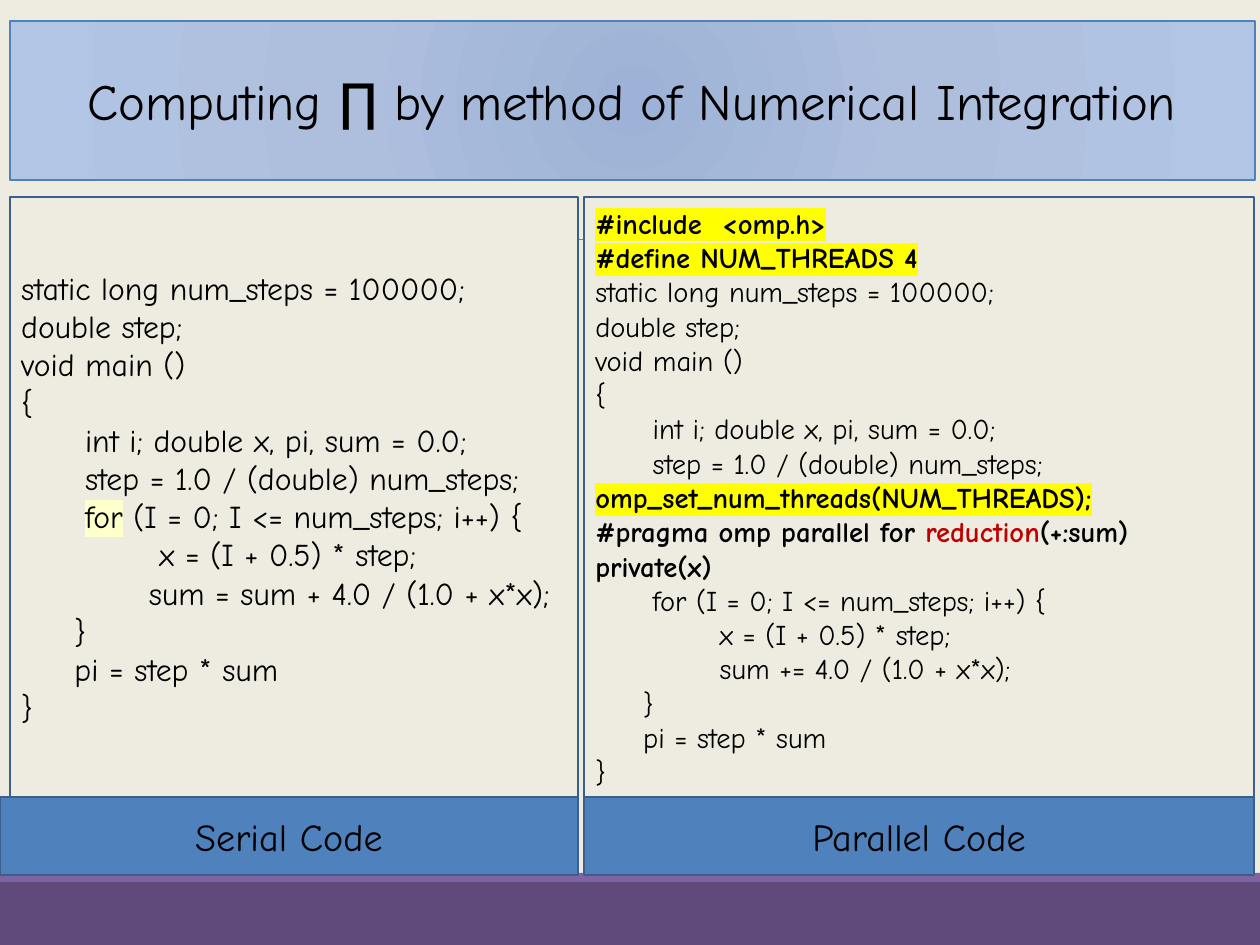
from dataclasses import dataclass

from lxml.etree import SubElement
from pptx import Presentation
from pptx.dml.color import RGBColor
from pptx.enum.shapes import MSO_CONNECTOR as Connector, MSO_SHAPE as Shape
from pptx.enum.text import MSO_ANCHOR as Anchor, MSO_AUTO_SIZE as AutoSize, PP_ALIGN as Align
from pptx.oxml.ns import qn
from pptx.util import Pt

TITLE = "Computing ∏ by method of Numerical Integration"

DECLARATIONS = [
    (0, [("static long num_steps = 100000;", "plain")]),
    (0, [("double step;", "plain")]),
    (0, [("void main ()", "plain")]),
    (0, [("{", "plain")]),
    (6, [("int i; double x, pi, sum = 0.0;", "plain")]),
    (6, [("step = 1.0 / (double) num_steps;", "plain")]),
]
MIDPOINT = (13, [("x = (I + 0.5) * step;", "plain")])
CLOSING = [
    (5, [("}", "plain")]),
    (5, [("pi = step * sum", "plain")]),
    (0, [("}", "plain")]),
]
SERIAL_CODE = [
    *DECLARATIONS,
    (6, [("for", "keyword"), (" (I = 0; I <= num_steps; i++) {", "plain")]),
    MIDPOINT,
    (12, [("sum = sum + 4.0 / (1.0 + x*x);", "plain")]),
    *CLOSING,
]
PARALLEL_CODE = [
    (0, [("#include  <omp.h>", "marked")]),
    (0, [("#define NUM_THREADS 4", "marked")]),
    *DECLARATIONS,
    (0, [("omp_set_num_threads(NUM_THREADS);", "marked")]),
    (0, [("#pragma omp parallel for ", "bold"), ("reduction", "clause"),
         ("(+:sum) private(x)", "bold")]),
    (6, [("for (I = 0; I <= num_steps; i++) {", "plain")]),
    MIDPOINT,
    (13, [("sum += 4.0 / (1.0 + x*x);", "plain")]),
    *CLOSING,
]


@dataclass(frozen=True)
class Theme:
    font: str = "Comic Neue"
    paper: str = "EEECE1"
    ink: str = "000000"
    red: str = "C00000"
    yellow: str = "FFFF00"
    cream: str = "FFFFCC"
    blue: str = "4F81BD"
    navy: str = "3A5F8C"
    grey: str = "808080"
    purple: str = "604A7B"
    violet: str = "8064A2"
    title_gradient: tuple = ((0, "9DB2D6"), (45, "AEBFDE"), (100, "B3C5E5"))
    title_size: int = 32
    caption_size: int = 24
    serial_size: int = 20
    parallel_size: int = 18
    space_em: float = 0.335


THEME = Theme()
RUN_STYLES = {
    "plain": {"bold": False, "color": THEME.ink, "highlight": None},
    "keyword": {"bold": False, "color": THEME.ink, "highlight": THEME.cream},
    "bold": {"bold": True, "color": THEME.ink, "highlight": None},
    "clause": {"bold": True, "color": THEME.red, "highlight": None},
    "marked": {"bold": True, "color": THEME.ink, "highlight": THEME.yellow},
}

PX = 8000
WIDTH, HEIGHT = 1260, 945
TITLE_BOX = {"left": 10, "top": 21, "width": 1245, "height": 159}
PANEL_TOP, CAPTION_TOP, CAPTION_HEIGHT = 197, 797, 78
BAND_TOP, FOOTER_TOP = 873, 882
RULE_LEFT, RULE_RIGHT, RULE_TOP = 123, 1153, 239

PANELS = [
    {"left": 10, "caption_left": 0, "right": 578,
     "code": SERIAL_CODE, "size": THEME.serial_size, "caption": "Serial Code"},
    {"left": 584, "caption_left": 584, "right": 1254,
     "code": PARALLEL_CODE, "size": THEME.parallel_size, "caption": "Parallel Code"},
]


def emu(*lengths):
    return [length * PX for length in lengths]


def set_attributes(target, values):
    for name, value in values.items():
        setattr(target, name, value)


def fill_solid(fill, color):
    fill.solid()
    fill.fore_color.rgb = RGBColor.from_string(color)


def draw_line(line, color, width):
    line.color.rgb = RGBColor.from_string(color)
    line.width = Pt(width)


def fill_radial(shape, stops):
    shape.fill.solid()
    properties = shape._element.spPr
    gradient = SubElement(properties, qn("a:gradFill"), rotWithShape="1")
    stop_list = SubElement(gradient, qn("a:gsLst"))
    for percent, color in stops:
        stop = SubElement(stop_list, qn("a:gs"), pos=str(percent * 1000))
        SubElement(stop, qn("a:srgbClr"), val=color)
    circle = SubElement(gradient, qn("a:path"), path="circle")
    SubElement(circle, qn("a:fillToRect"), {side: "100000" for side in "ltrb"})
    properties.replace(properties.find(qn("a:solidFill")), gradient)


def add_box(slide, left, top, right, bottom, fill, outline=None):
    box = emu(left, top, right - left, bottom - top)
    shape = slide.shapes.add_shape(Shape.RECTANGLE, *box)
    shape.shadow.inherit = False
    fill_solid(shape.fill, fill)
    if outline:
        draw_line(shape.line, outline, 1.25)
    else:
        shape.line.fill.background()
    return shape


def add_run(paragraph, text, size, style):
    run = paragraph.add_run()
    run.text = text
    fill_solid(run.font.fill, style["color"])
    if style["highlight"]:
        highlight = SubElement(run._r.get_or_add_rPr(), qn("a:highlight"))
        SubElement(highlight, qn("a:srgbClr"), val=style["highlight"])
    set_attributes(run.font, {"name": THEME.font, "size": Pt(size), "bold": style["bold"]})


def write_lines(shape, lines, size, alignment):
    frame = shape.text_frame
    set_attributes(frame, {
        "word_wrap": True,
        "auto_size": AutoSize.NONE,
        "vertical_anchor": Anchor.MIDDLE,
    })
    for index, (spaces, runs) in enumerate(lines):
        paragraph = frame.add_paragraph() if index else frame.paragraphs[0]
        paragraph.alignment = alignment
        indent = Pt(spaces * size * THEME.space_em)
        properties = paragraph._p.get_or_add_pPr()
        properties.set("marL", str(indent))
        properties.set("indent", "0")
        for text, style_name in runs:
            add_run(paragraph, text, size, RUN_STYLES[style_name])


def write_heading(shape, text, size):
    write_lines(shape, [(0, [(text, "plain")])], size, Align.CENTER)


def add_backdrop(slide):
    fill_solid(slide.background.fill, THEME.paper)
    add_box(slide, 0, FOOTER_TOP, WIDTH, HEIGHT, THEME.purple)
    add_box(slide, 0, BAND_TOP, WIDTH, FOOTER_TOP, THEME.violet)
    ends = emu(RULE_LEFT, RULE_TOP, RULE_RIGHT, RULE_TOP)
    rule = slide.shapes.add_connector(Connector.STRAIGHT, *ends)
    draw_line(rule.line, THEME.grey, 0.5)
    SubElement(rule._element.spPr, qn("a:effectLst"))


def format_title(slide):
    title = slide.shapes.title
    set_attributes(title, {name: length * PX for name, length in TITLE_BOX.items()})
    title.shadow.inherit = False
    fill_radial(title, THEME.title_gradient)
    draw_line(title.line, THEME.blue, 1)
    write_heading(title, TITLE, THEME.title_size)


def add_panel(slide, left, caption_left, right, code, size, caption):
    panel = add_box(slide, left, PANEL_TOP, right, CAPTION_TOP, THEME.paper, THEME.navy)
    write_lines(panel, code, size, Align.LEFT)
    caption_bottom = CAPTION_TOP + CAPTION_HEIGHT
    label = add_box(slide, caption_left, CAPTION_TOP, right, caption_bottom, THEME.blue, THEME.navy)
    write_heading(label, caption, THEME.caption_size)


def main():
    presentation = Presentation()
    presentation.slide_width, presentation.slide_height = emu(WIDTH, HEIGHT)
    slide = presentation.slides.add_slide(presentation.slide_layouts[5])
    add_backdrop(slide)
    format_title(slide)
    for panel in PANELS:
        add_panel(slide, **panel)
    presentation.save("out.pptx")


if __name__ == "__main__":
    main()
